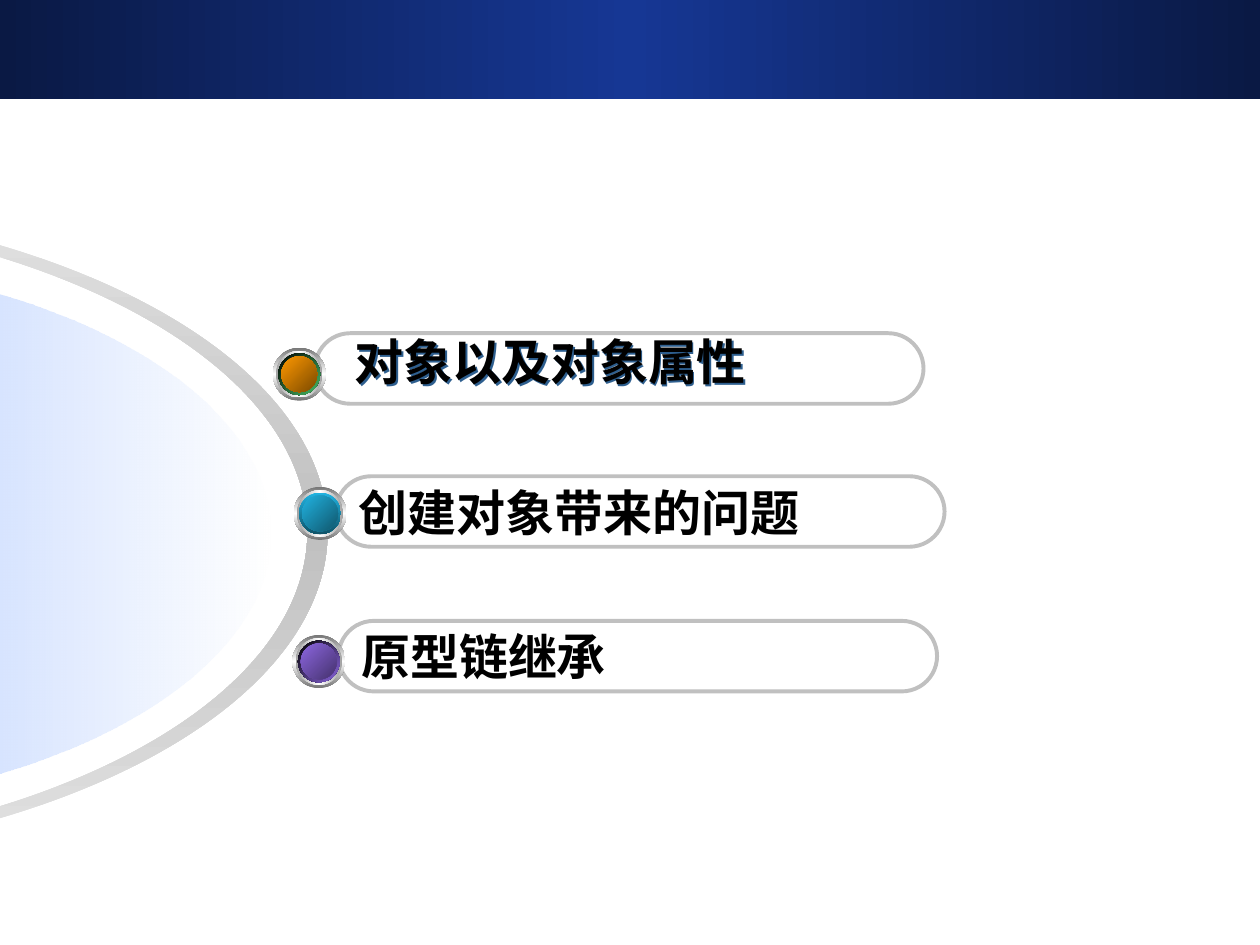
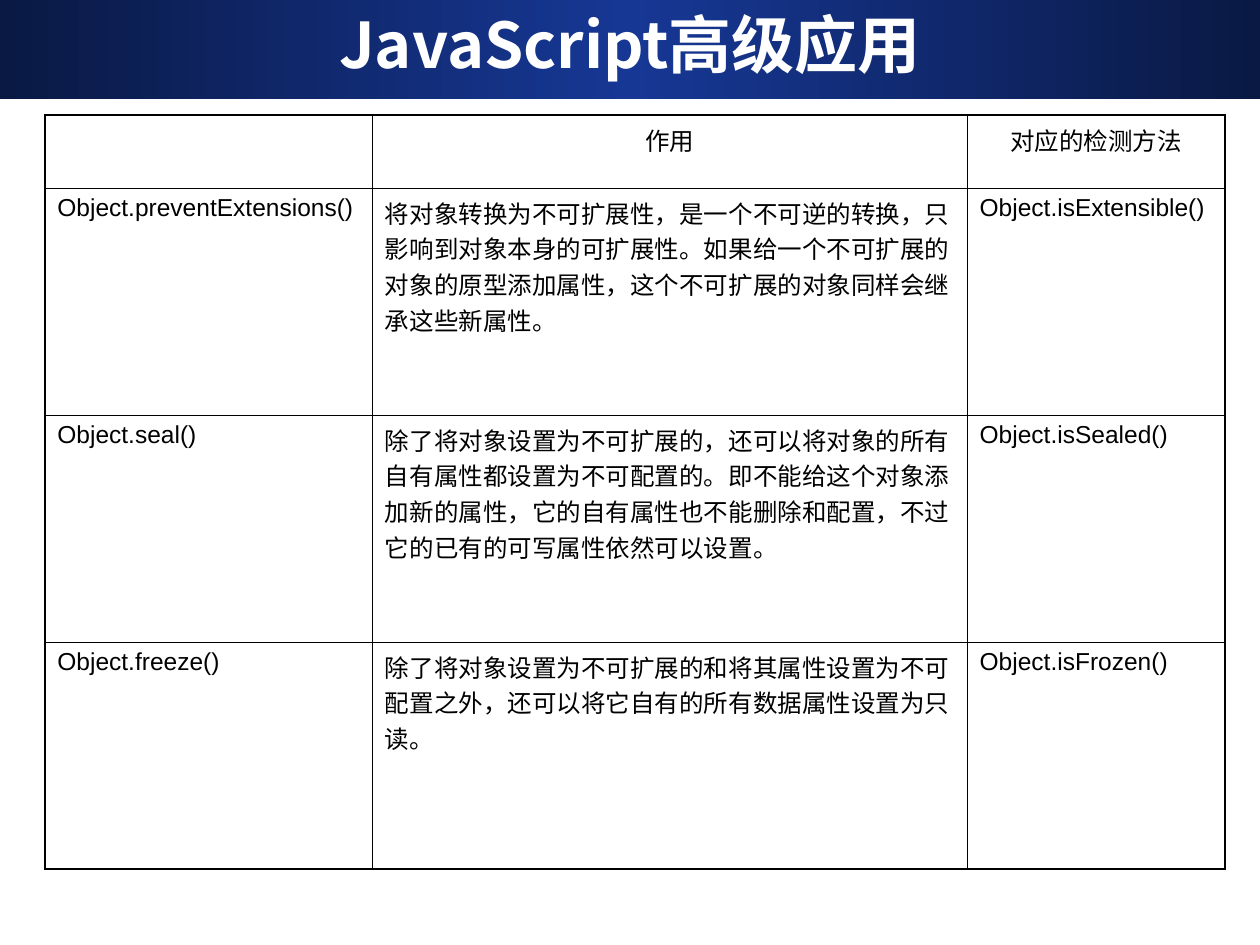
from lxml import etree
from pptx import Presentation
from pptx.dml.color import RGBColor
from pptx.enum.shapes import MSO_SHAPE
from pptx.enum.text import MSO_ANCHOR, PP_ALIGN
from pptx.oxml.ns import qn
from pptx.util import Inches, Pt

RECT, ROUNDED, OVAL = MSO_SHAPE.RECTANGLE, MSO_SHAPE.ROUNDED_RECTANGLE, MSO_SHAPE.OVAL
LEFT, CENTER = PP_ALIGN.LEFT, PP_ALIGN.CENTER
MIDDLE = MSO_ANCHOR.MIDDLE

WIDTH, HEIGHT = Inches(10), Inches(7.5)
COL, ROW = WIDTH / 100, HEIGHT / 75
CJK, LATIN = "Noto Sans CJK SC", "Arial"
COLORS = {
    "navy": "0A1944", "royal": "163794", "white": "FFFFFF", "black": "000000",
    "silver": "C0C0C0", "mist": "E2E2E2", "steel": "767676", "ash": "A2A2A2",
    "sky": "6699FF", "text_shadow": "2E5F8F",
    "orange": "FF9900", "brown": "7C4A00", "green": "48BE67",
    "cyan": "21B3E1", "teal": "10576D", "deep_teal": "0F5368",
    "violet": "8D67E1", "plum": "45326D",
}
HEADING = {"size": Pt(36), "name": CJK, "bold": True}
TOPIC = {"size": Pt(28), "name": CJK, "bold": True}
BODY = {"size": Pt(14), "name": LATIN, "bold": False}

BAND_BOX = (0, -0.1, 100, 7.95)
TITLE_BOX = (0, -0.1, 100, 7)
TABLE_BOX = (3.55, 9.15, 93.7, 59.85)
RING_BOX = (-26.2, 15.8, 52.2, 52.8)
RING_HOLE = (-26.2, 16.6, 50.6, 51.2)
FAN_BOX = (-21.5, 20.3, 43, 44.1)
UPPER_CURVE = [(0, 0), (55.5, 0.4), (100, 22.7), (100, 50)]
PILL_HEIGHT, BALL_SIZE = 5.6, 4.2
TOPICS = [
    ("原型链继承", (26.87, 49.28, 47.5), (23.2, 50.4),
     ("black", "violet", 45), ("violet", "plum")),
    ("创建对象带来的问题", (26.67, 37.8, 48.3), (23.3, 38.65),
     ("cyan", "deep_teal", 90), ("cyan", "teal")),
    ("", (25, 26.45, 48.3), (21.65, 27.6),
     ("black", "green", 45), ("orange", "brown")),
]
RAISED_TOPIC, RAISED_BOX = "对象以及对象属性", (27.15, 25.8, 40.9, 5.7)

COLUMN_SHARES = (2.6, 4.72, 2.05)
ROW_SHARES = (0.58, 1.8, 1.8, 1.8)
METHODS = [
    ("", "作用", "对应的检测方法"),
    ("Object.preventExtensions()",
     "将对象转换为不可扩展性，是一个不可逆的转换，只影响到对象本身的可扩展性。"
     "如果给一个不可扩展的对象的原型添加属性，这个不可扩展的对象同样会继承这些新属性。",
     "Object.isExtensible()"),
    ("Object.seal()",
     "除了将对象设置为不可扩展的，还可以将对象的所有自有属性都设置为不可配置的。"
     "即不能给这个对象添加新的属性，它的自有属性也不能删除和配置，"
     "不过它的已有的可写属性依然可以设置。",
     "Object.isSealed()"),
    ("Object.freeze()",
     "除了将对象设置为不可扩展的和将其属性设置为不可配置之外，"
     "还可以将它自有的所有数据属性设置为只读。",
     "Object.isFrozen()"),
]


def rgb(color):
    return RGBColor.from_string(COLORS[color])


def place(box):
    left, top, width, height = box
    return round(left * COL), round(top * ROW), round(width * COL), round(height * ROW)


def apply(target, values):
    for attribute, value in values.items():
        setattr(target, attribute, value)


def add_color(parent, color, opacity=100):
    node = etree.SubElement(parent, qn("a:srgbClr"), val=COLORS[color])
    if opacity < 100:
        etree.SubElement(node, qn("a:alpha"), val=str(opacity * 1000))


def paint_gradient(shape, stops, angle):
    shape.shadow.inherit = False
    shape.line.fill.background()
    shape.fill.gradient()
    shape.fill.gradient_angle = -angle % 360
    stop_list = shape._element.spPr.find(".//" + qn("a:gsLst"))
    for stop in list(stop_list):
        stop_list.remove(stop)
    for index, (color, opacity) in enumerate(stops):
        position = str(100000 * index // (len(stops) - 1))
        add_color(etree.SubElement(stop_list, qn("a:gs"), pos=position), color, opacity)


def solid(*colors):
    return [(color, 100) for color in colors]


def write(frame, text, style, color, align=LEFT, space_before=0):
    paragraph = frame.paragraphs[0]
    apply(paragraph, {"alignment": align, "space_before": Pt(space_before)})
    run = paragraph.add_run()
    run.text = text
    apply(run.font, style)
    run.font.color.rgb = rgb(color)
    etree.SubElement(run._r.get_or_add_rPr(), qn("a:ea"), typeface=CJK)


def add_band(slide, box):
    band = slide.shapes.add_shape(RECT, *place(box))
    paint_gradient(band, solid("navy", "royal", "navy"), 0)


def add_label(slide, box, text, style, color, align=LEFT):
    label = slide.shapes.add_textbox(*place(box))
    apply(label.text_frame, {"word_wrap": True, "vertical_anchor": MIDDLE})
    write(label.text_frame, text, style, color, align)
    return label


def half_curve(box):
    left, top, width, height = place(box)
    lower = [(x, 100 - y) for x, y in UPPER_CURVE[-2::-1]]
    return [(round(left + width * x / 100), round(top + height * y / 100))
            for x, y in UPPER_CURVE + lower]


def add_outline(slide, halves, stops, angle):
    points = [point for half in halves for point in half]
    builder = slide.shapes.build_freeform(*points[0])
    builder.add_line_segments(points[1:], close=True)
    outline = builder.convert_to_shape()
    segments = list(outline._element.spPr.iter(qn("a:lnTo")))
    for half in range(len(halves)):
        for start in (7 * half, 7 * half + 3):
            curve = etree.Element(qn("a:cubicBezTo"))
            segments[start].addprevious(curve)
            for segment in segments[start:start + 3]:
                curve.append(segment[0])
                segment.getparent().remove(segment)
    paint_gradient(outline, stops, angle)


def add_ring(slide, box, hole):
    add_outline(slide, [half_curve(box), half_curve(hole)[::-1]],
                solid("mist", "silver", "mist"), 90)


def add_fan(slide, box):
    add_outline(slide, [half_curve(box)], [("sky", 56), ("white", 48)], 0)


def add_pill(slide, box, text):
    pill = slide.shapes.add_shape(ROUNDED, *place(box))
    pill.adjustments[0] = 0.5
    pill.shadow.inherit = False
    pill.fill.background()
    pill.line.color.rgb = rgb("silver")
    pill.line.width = Pt(2.25)
    if text:
        apply(pill.text_frame, {"word_wrap": False, "vertical_anchor": MIDDLE})
        write(pill.text_frame, text, TOPIC, "black")


def add_ball(slide, box, rim, core):
    left, top, width, height = box
    layers = [
        (1, ("steel", "white", "steel"), 90),
        (0.88, ("ash", "white", "ash"), 0),
        (0.79, rim[:2], rim[2]),
        (0.68, core, 45),
    ]
    for share, colors, angle in layers:
        inset = (1 - share) / 2
        layer_box = (left + width * inset, top + height * inset,
                     width * share, height * share)
        layer = slide.shapes.add_shape(OVAL, *place(layer_box))
        paint_gradient(layer, solid(*colors), angle)


def add_raised_topic(slide, box, text):
    label = add_label(slide, box, text, TOPIC, "black")
    label.shadow.inherit = False
    effects = label._element.spPr.find(qn("a:effectLst"))
    shadow = etree.SubElement(effects, qn("a:outerShdw"),
                              dist=str(Pt(1.5)), dir="2700000")
    add_color(shadow, "text_shadow")


def set_borders(cell, widths):
    properties = cell._tc.get_or_add_tcPr()
    for index, (side, width) in enumerate(widths.items()):
        border = etree.Element(qn("a:ln" + side), w=str(Pt(width)))
        add_color(etree.SubElement(border, qn("a:solidFill")), "black")
        properties.insert(index, border)


def add_methods_table(slide, box):
    left, top, width, height = place(box)
    last_row, last_column = len(ROW_SHARES) - 1, len(COLUMN_SHARES) - 1
    table = slide.shapes.add_table(last_row + 1, last_column + 1,
                                   left, top, width, height).table
    apply(table, {"first_row": False, "horz_banding": False})
    for column, share in zip(table.columns, COLUMN_SHARES):
        column.width = round(width * share / sum(COLUMN_SHARES))
    for row, share in zip(table.rows, ROW_SHARES):
        row.height = round(height * share / sum(ROW_SHARES))
    for r, texts in enumerate(METHODS):
        for c, text in enumerate(texts):
            cell = table.cell(r, c)
            cell.fill.solid()
            cell.fill.fore_color.rgb = rgb("white")
            outer = {"L": c == 0, "R": c == last_column, "T": r == 0, "B": r == last_row}
            set_borders(cell, {side: 1.08 if edge else 0.45
                               for side, edge in outer.items()})
            if text:
                write(cell.text_frame, text, BODY, "black",
                      CENTER if r == 0 else LEFT, 3.5)


def new_slide(deck):
    slide = deck.slides.add_slide(deck.slide_layouts[6])
    add_band(slide, BAND_BOX)
    return slide


def build_agenda(deck):
    slide = new_slide(deck)
    add_ring(slide, RING_BOX, RING_HOLE)
    for text, pill, _, _, _ in TOPICS:
        add_pill(slide, (*pill, PILL_HEIGHT), text)
    for _, _, ball, rim, core in reversed(TOPICS):
        add_ball(slide, (*ball, BALL_SIZE, BALL_SIZE), rim, core)
    add_fan(slide, FAN_BOX)
    add_raised_topic(slide, RAISED_BOX, RAISED_TOPIC)


def build_methods(deck):
    slide = new_slide(deck)
    add_label(slide, TITLE_BOX, "JavaScript高级应用", HEADING, "white", CENTER)
    add_methods_table(slide, TABLE_BOX)


def main():
    deck = Presentation()
    apply(deck, {"slide_width": WIDTH, "slide_height": HEIGHT})
    build_agenda(deck)
    build_methods(deck)
    deck.save("out.pptx")


if __name__ == "__main__":
    main()
